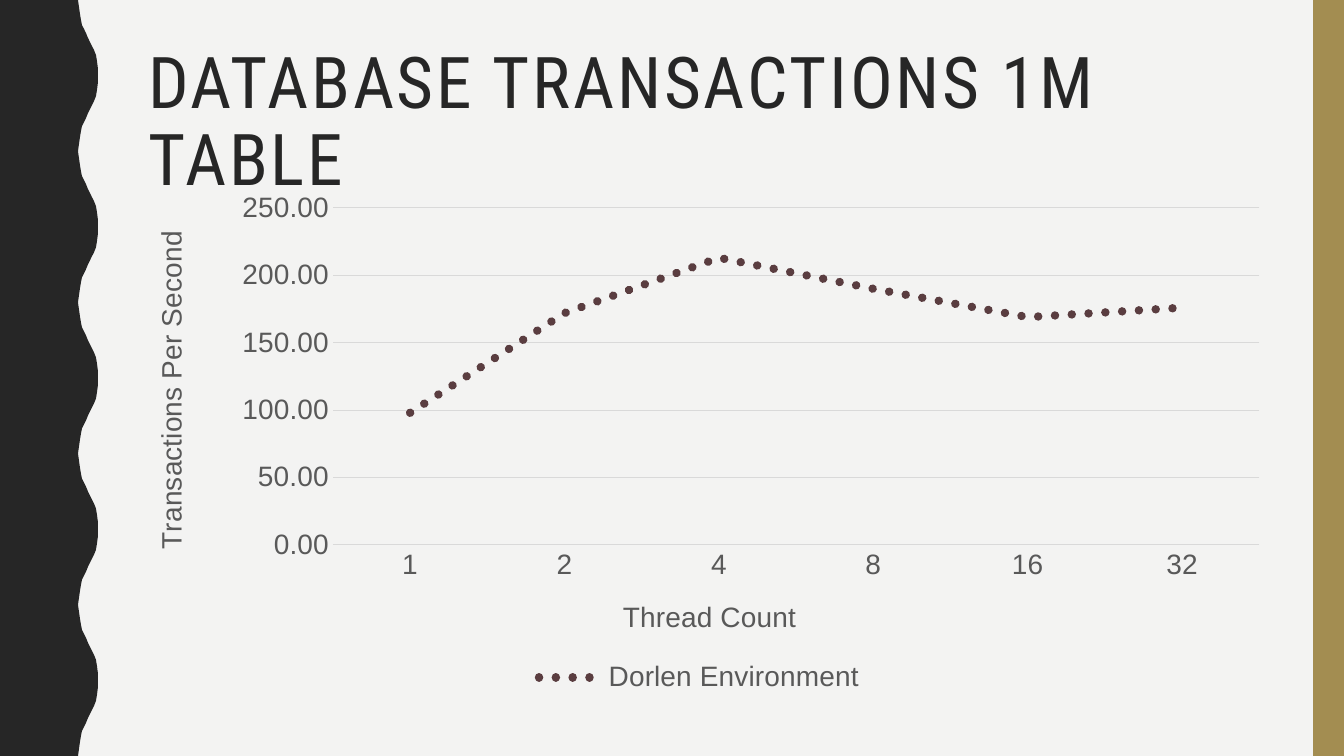
"""Build the slide charting database transactions against thread count."""
import lxml.etree
import pptx
import pptx.chart.data
import pptx.dml.color
import pptx.enum.chart
import pptx.enum.dml
import pptx.enum.shapes
import pptx.enum.text
import pptx.oxml.ns
import pptx.util

RGBColor = pptx.dml.color.RGBColor
qn = pptx.oxml.ns.qn

HEADING = "DATABASE TRANSACTIONS 1M TABLE"
THREAD_AXIS = "Thread Count"
RATE_AXIS = "Transactions Per Second"
ENVIRONMENT = "Dorlen Environment"
RATES = {"1": 98, "2": 172, "4": 213, "8": 190, "16": 169, "32": 176}

SLIDE_W, SLIDE_H = 1344, 756
HEADING_BOX = (138, 42, 1122, 164)
CHART_BOX = (126, 150, 1134, 564)
PLOT_BOX = (207, 58, 927, 337)
THREAD_SPOT = (492, 444)
RATE_SPOT = (22, 76)
LEGEND_SPOT = (404, 506)
STRIPE_W = 31
WAVE_COUNT = 5
HALF_WAVE = [(78, 0), (79, 7), (80, 14), (81, 20), (82, 25), (84, 29), (86, 33),
             (88, 38), (90, 42), (92, 46), (94, 50), (96, 55), (97, 61), (98, 69), (98, 76)]

PAPER = RGBColor(0xF3, 0xF3, 0xF2)
INK = RGBColor(0x26, 0x26, 0x26)
GOLD = RGBColor(0xA3, 0x8D, 0x51)
LABEL = RGBColor(0x59, 0x59, 0x59)
GRID = RGBColor(0xD9, 0xD9, 0xD9)
PLUM = RGBColor(0x5A, 0x3D, 0x40)


def px(length):
    """Turn pixels into EMU."""
    return round(length * 12192000 / SLIDE_W)


def style_font(font, size, name, color):
    """Set the look of a font."""
    font.size = pptx.util.Pt(size)
    font.name = name
    font.bold = False
    font.color.rgb = color


def write(frame, text, size=20, name="Arial", color=LABEL, line_spacing=None, tracking=None):
    """Fill a text frame with one formatted run."""
    paragraph = frame.paragraphs[0]
    paragraph.line_spacing = line_spacing
    run = paragraph.add_run()
    run.text = text
    style_font(run.font, size, name, color)
    if tracking:
        run.font._element.set("spc", str(tracking * 100))


def paint(shape, color):
    """Give a shape a plain fill without outline or shadow."""
    shape.fill.solid()
    shape.fill.fore_color.rgb = color
    shape.line.fill.background()
    shape.shadow.inherit = False


def place(element, index, box):
    """Set a chart part's place, and its inner size if given, in pixels of the chart."""
    for old in element.findall(qn("c:layout")):
        element.remove(old)
    layout = {"layoutTarget": "inner"} if len(box) == 4 else {}
    layout.update(xMode="edge", yMode="edge")
    layout.update((key, length / whole)
                  for key, length, whole in zip("xywh", box, CHART_BOX[2:] * 2))
    holder = lxml.etree.Element(qn("c:layout"))
    manual = lxml.etree.SubElement(holder, qn("c:manualLayout"))
    for key, value in layout.items():
        lxml.etree.SubElement(manual, qn(f"c:{key}")).set("val", str(value))
    element.insert(index, holder)


def draw_wave(slide):
    """Draw the dark wavy edge at the left."""
    period = SLIDE_H / WAVE_COUNT
    wave = HALF_WAVE + [(x, period - y) for x, y in reversed(HALF_WAVE[:-1])]
    edge = [(px(x), px(n * period + y)) for n in range(WAVE_COUNT) for x, y in wave]
    builder = slide.shapes.build_freeform(0, 0)
    builder.add_line_segments(edge + [(0, px(SLIDE_H))], close=True)
    paint(builder.convert_to_shape(), INK)


def draw_chart(slide):
    """Add the dotted line chart of transaction rates."""
    data = pptx.chart.data.CategoryChartData(number_format="0.00")
    data.categories = list(RATES)
    data.add_series(ENVIRONMENT, list(RATES.values()))
    chart = slide.shapes.add_chart(
        pptx.enum.chart.XL_CHART_TYPE.LINE, *map(px, CHART_BOX), data).chart
    style_font(chart.font, 20, "Arial", LABEL)
    chart.has_title = False
    chart.has_legend = True
    chart.legend.position = pptx.enum.chart.XL_LEGEND_POSITION.BOTTOM
    chart.legend.include_in_layout = False
    style_font(chart.legend.font, 20, "Arial", LABEL)
    place(chart.legend._element, 1, LEGEND_SPOT)

    threads, rates = chart.category_axis, chart.value_axis
    for axis, caption, spot in ((threads, THREAD_AXIS, THREAD_SPOT),
                                (rates, RATE_AXIS, RATE_SPOT)):
        write(axis.axis_title.text_frame, caption)
        place(axis.axis_title._element, 1, spot)
        axis.major_tick_mark = pptx.enum.chart.XL_TICK_MARK.NONE
        axis.minor_tick_mark = pptx.enum.chart.XL_TICK_MARK.NONE
        style_font(axis.tick_labels.font, 20, "Arial", LABEL)
    rates.minimum_scale, rates.maximum_scale, rates.major_unit = 0, 250, 50
    rates.tick_labels.number_format = "0.00"
    rates.tick_labels.number_format_is_linked = False
    rates.format.line.fill.background()
    for line in (threads.format.line, rates.major_gridlines.format.line):
        line.color.rgb = GRID
        line.width = pptx.util.Pt(0.75)

    chart.plots[0].vary_by_categories = False
    series = chart.plots[0].series[0]
    series.smooth = False
    series.marker.style = pptx.enum.chart.XL_MARKER_STYLE.NONE
    series.format.line.color.rgb = PLUM
    series.format.line.width = pptx.util.Pt(6)
    series.format.line.dash_style = pptx.enum.dml.MSO_LINE.ROUND_DOT
    series._element.find(f"{qn('c:spPr')}/{qn('a:ln')}").set("cap", "rnd")

    body = chart._chartSpace.find(qn("c:chart"))
    place(body.find(qn("c:plotArea")), 0, PLOT_BOX)
    backing = lxml.etree.Element(qn("c:spPr"))
    lxml.etree.SubElement(backing, qn("a:noFill"))
    outline = lxml.etree.SubElement(backing, qn("a:ln"))
    lxml.etree.SubElement(outline, qn("a:noFill"))
    body.addnext(backing)


def main():
    """Build and save the slide."""
    deck = pptx.Presentation()
    deck.slide_width, deck.slide_height = px(SLIDE_W), px(SLIDE_H)
    slide = deck.slides.add_slide(deck.slide_layouts[5])
    slide.background.fill.solid()
    slide.background.fill.fore_color.rgb = PAPER

    draw_wave(slide)
    stripe = slide.shapes.add_shape(
        pptx.enum.shapes.MSO_SHAPE.RECTANGLE,
        px(SLIDE_W - STRIPE_W), 0, px(STRIPE_W), px(SLIDE_H))
    paint(stripe, GOLD)

    heading = slide.shapes.title
    heading.left, heading.top, heading.width, heading.height = map(px, HEADING_BOX)
    frame = heading.text_frame
    frame.word_wrap = True
    frame.auto_size = pptx.enum.text.MSO_AUTO_SIZE.NONE
    frame.vertical_anchor = pptx.enum.text.MSO_ANCHOR.MIDDLE
    frame.paragraphs[0].alignment = pptx.enum.text.PP_ALIGN.LEFT
    write(frame, HEADING, size=51, name="Roboto Condensed", color=INK,
          line_spacing=0.9, tracking=2)

    draw_chart(slide)
    deck.save("out.pptx")


if __name__ == "__main__":
    main()
